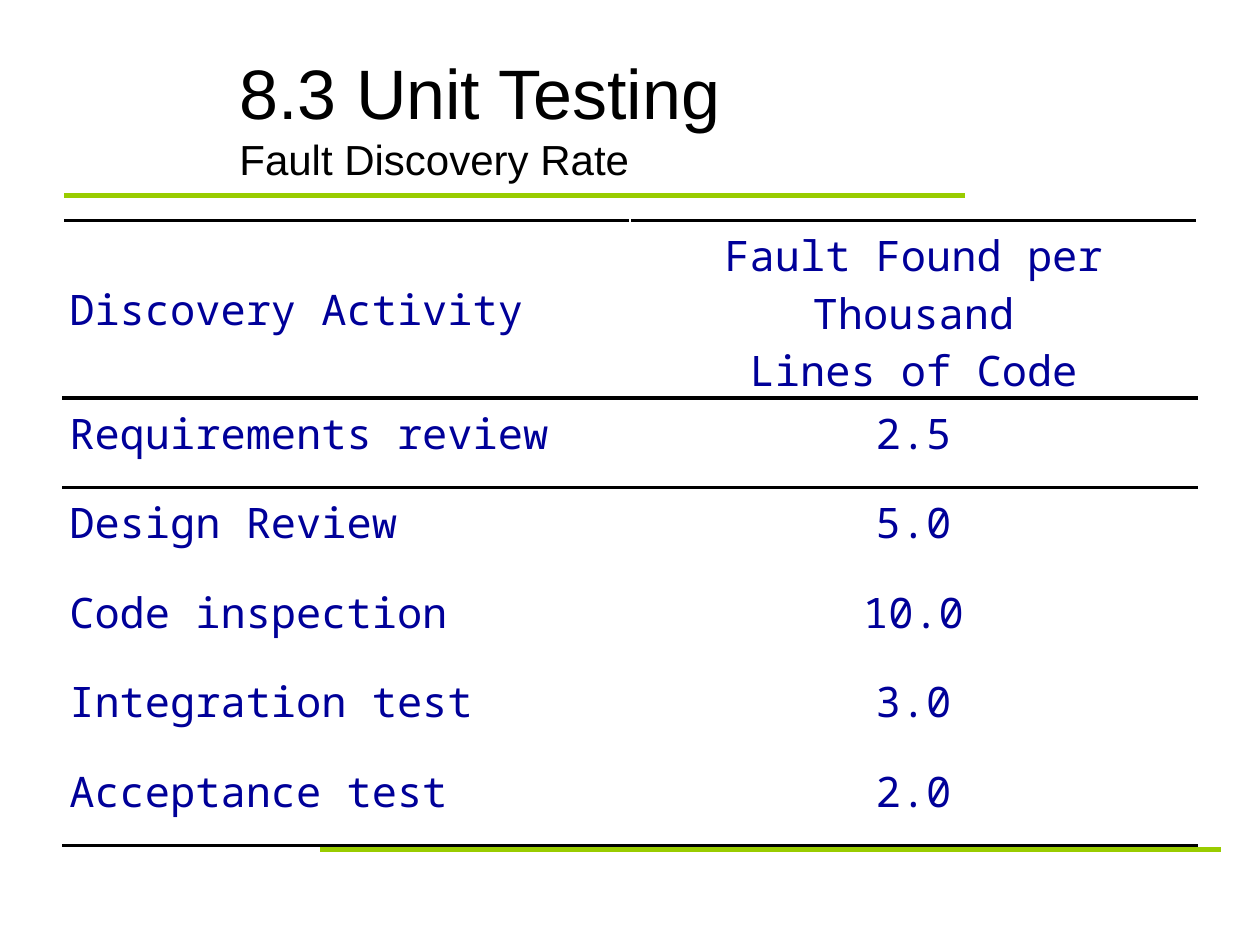
from lxml.etree import SubElement
from pptx import Presentation
from pptx.dml.color import RGBColor
from pptx.enum.shapes import MSO_CONNECTOR
from pptx.enum.text import MSO_ANCHOR, PP_ALIGN
from pptx.oxml.ns import qn
from pptx.util import Inches, Pt

BLACK, GREEN, NAVY = "000000", "99CC00", "000099"
INSET = Inches(0.05)
FAULT_RATES = [
    ("Discovery Activity", "Fault Found per Thousand\nLines of Code"),
    ("Requirements review", "2.5"),
    ("Design Review", "5.0"),
    ("Code inspection", "10.0"),
    ("Integration test", "3.0"),
    ("Acceptance test", "2.0"),
]


def color(value):
    return RGBColor.from_string(value)


def set_insets(box):
    box.margin_left = box.margin_right = INSET
    box.margin_top = box.margin_bottom = INSET


def style_font(font, name, size, value):
    font.name = name
    font.size = Pt(size)
    font.color.rgb = color(value)


def add_rule(slide, left, top, length):
    rule = slide.shapes.add_connector(
        MSO_CONNECTOR.STRAIGHT,
        Inches(left), Inches(top), Inches(left + length), Inches(top))
    rule.line.color.rgb = color(GREEN)
    rule.line.width = Pt(3)
    SubElement(rule._element.spPr, qn("a:effectLst"))


def add_title(slide, heading, subheading):
    title = slide.shapes.add_textbox(
        Inches(1.85), Inches(0.3), Inches(7.65), Inches(1.25)).text_frame
    title.word_wrap = True
    title.vertical_anchor = MSO_ANCHOR.MIDDLE
    set_insets(title)
    paragraph = title.paragraphs[0]
    for text, size in ((heading, 40), (subheading, 24)):
        if paragraph.runs:
            paragraph.add_line_break()
        run = paragraph.add_run()
        run.text = text
        style_font(run.font, "Arial", size, BLACK)


def add_border(cell, side):
    border = SubElement(cell._tc.get_or_add_tcPr(), qn(f"a:{side}"), w=str(Pt(2.25)))
    fill = SubElement(border, qn("a:solidFill"))
    SubElement(fill, qn("a:srgbClr"), val=BLACK)


def fill_cell(cell, text, alignment, borders):
    cell.text = text
    set_insets(cell)
    for side in borders:
        add_border(cell, side)
    cell.fill.background()
    for paragraph in cell.text_frame.paragraphs:
        paragraph.alignment = alignment
        style_font(paragraph.font, "Noto Sans Mono", 24, NAVY)


def add_rate_table(slide, rates):
    table = slide.shapes.add_table(
        len(rates), 2, Inches(0.5), Inches(1.75), Inches(9), Inches(4.95)).table
    table.first_row = table.horz_banding = False
    borders = {0: ["lnT", "lnB"], 1: ["lnT"], len(rates) - 1: ["lnB"]}
    for index, texts in enumerate(rates):
        table.rows[index].height = Inches(0.71 if index else 1.41)
        for column, alignment in enumerate((PP_ALIGN.LEFT, PP_ALIGN.CENTER)):
            fill_cell(table.cell(index, column), texts[column], alignment,
                      borders.get(index, []))
    table.cell(0, 0).vertical_anchor = MSO_ANCHOR.MIDDLE


def main():
    presentation = Presentation()
    presentation.slide_width = Inches(10)
    presentation.slide_height = Inches(7.5)
    slide = presentation.slides.add_slide(presentation.slide_layouts[6])
    add_rule(slide, 0.51, 1.55, 7.15)
    add_rule(slide, 2.54, 6.74, 7.15)
    add_title(slide, "8.3 Unit Testing", "Fault Discovery Rate")
    add_rate_table(slide, FAULT_RATES)
    presentation.save("out.pptx")


if __name__ == "__main__":
    main()
